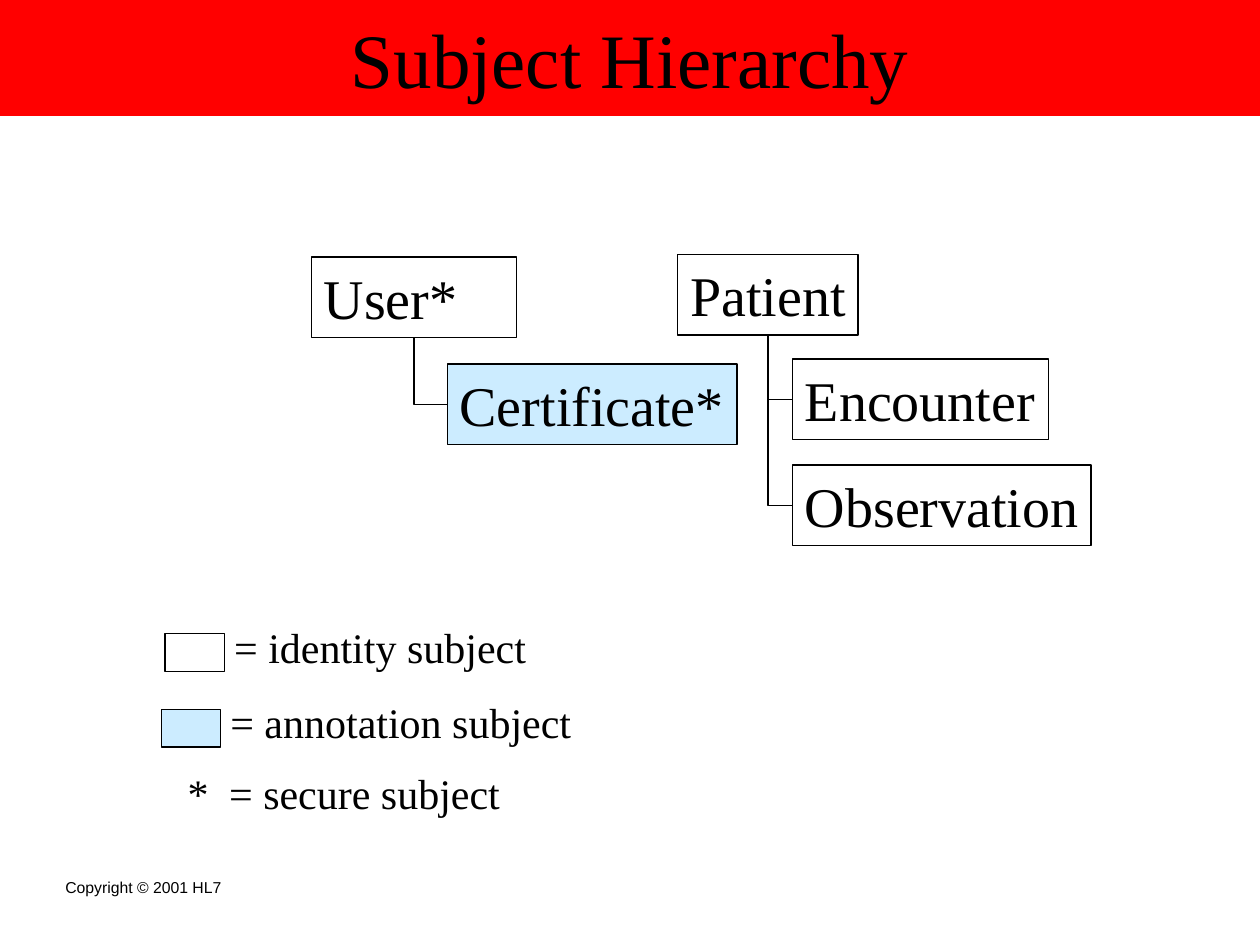
from lxml import etree
from pptx import Presentation
from pptx.dml.color import RGBColor
from pptx.enum.shapes import MSO_CONNECTOR, MSO_SHAPE
from pptx.enum.text import MSO_ANCHOR, MSO_AUTO_SIZE, PP_ALIGN
from pptx.oxml.ns import qn
from pptx.util import Inches, Pt

RECT = MSO_SHAPE.RECTANGLE
ELBOW = MSO_CONNECTOR.ELBOW
TOP, MIDDLE = MSO_ANCHOR.TOP, MSO_ANCHOR.MIDDLE
LEFT, CENTER = PP_ALIGN.LEFT, PP_ALIGN.CENTER
NO_FIT = MSO_AUTO_SIZE.NONE
BOTTOM_SIDE, LEFT_SIDE = 0 + 2, 1

SLIDE_W, SLIDE_H = 10, 7.5
BLACK, WHITE, RED, PALE_BLUE = "000000", "FFFFFF", "FF0000", "CCECFF"
SERIF, SANS = "Times New Roman", "Arial"
BOX_H = 0.64
SWATCH_W, SWATCH_H = 0.47, 0.3
LABEL_H = 0.5

NODES = {
    "User*": (2.47, 2.04, 1.63, WHITE),
    "Patient": (5.38, 2.02, 1.43, WHITE),
    "Encounter": (6.29, 2.85, 2.03, WHITE),
    "Observation": (6.29, 3.69, 2.37, WHITE),
    "Certificate*": (3.55, 2.89, 2.3, PALE_BLUE),
}
BRANCHES = [
    ("User*", "Certificate*"),
    ("Patient", "Encounter"),
    ("Patient", "Observation"),
]
LEGEND = [
    ("= identity subject", 1.31, 5.03, 2.51, WHITE),
    ("= annotation subject", 1.28, 5.63, 2.9, PALE_BLUE),
]


def color(value):
    """Turn a hex string into a colour."""
    return RGBColor.from_string(value)


def inches(*values):
    """Turn numbers into lengths."""
    return [Inches(v) for v in values]


def write(sp, text, size, font=SERIF, align=LEFT, anchor=TOP, wrap=False):
    """Put one formatted paragraph into a shape."""
    tf = sp.text_frame
    frame = {"word_wrap": wrap, "auto_size": NO_FIT, "vertical_anchor": anchor}
    for name, value in frame.items():
        setattr(tf, name, value)
    p = tf.paragraphs[0]
    p.alignment = align
    r = p.add_run()
    r.text = text
    for name, value in {"name": font, "size": Pt(size)}.items():
        setattr(r.font, name, value)
    r.font.color.rgb = color(BLACK)
    return p


def add_text(s, at, text, size, font=SERIF, wrap=False):
    """Add a text box and return its paragraph."""
    sp = s.shapes.add_textbox(*inches(*at))
    return write(sp, text, size, font, wrap=wrap)


def add_rect(s, at, fill):
    """Add a filled rectangle with a thin black outline."""
    sp = s.shapes.add_shape(RECT, *inches(*at))
    sp.shadow.inherit = False
    sp.fill.solid()
    sp.fill.fore_color.rgb = color(fill)
    sp.line.color.rgb = color(BLACK)
    sp.line.width = Pt(0.75)
    return sp


def add_node(s, text, x, y, w, fill):
    """Add one subject of the hierarchy."""
    sp = add_rect(s, (x, y, w, BOX_H), fill)
    write(sp, text, 32)
    return sp


def add_branch(s, parent, child):
    """Run a line down from a parent and right to its child."""
    x1, y1 = parent.left + parent.width // 2, parent.top + parent.height
    x2, y2 = child.left, child.top + child.height // 2
    w, h = x2 - x1, y2 - y1
    line = s.shapes.add_connector(ELBOW, x1, y1, x2, y2)
    line.begin_connect(parent, BOTTOM_SIDE)
    line.end_connect(child, LEFT_SIDE)
    turned = {"left": x1 + (w - h) // 2, "top": y1 + (h - w) // 2,
              "width": h, "height": w}
    for name, value in turned.items():
        setattr(line, name, value)
    line.line.color.rgb = color(BLACK)
    line.line.width = Pt(0.75)
    props = line._element.spPr
    xfrm = props.find(qn("a:xfrm"))
    xfrm.set("rot", "16200000")
    xfrm.set("flipH", "1")
    props.find(qn("a:prstGeom")).set("prst", "bentConnector2")
    etree.SubElement(props, qn("a:effectLst"))


def add_tab(p, position):
    """Set one left tab stop in a paragraph."""
    tabs = etree.SubElement(p._p.get_or_add_pPr(), qn("a:tabLst"))
    etree.SubElement(tabs, qn("a:tab"), pos=str(Inches(position)), algn="l")


def add_title(s, text):
    """Fill the title placeholder as a band across the top."""
    sp = s.shapes.title
    sp.left, sp.top, sp.width, sp.height = inches(0, 0, SLIDE_W, 0.92)
    sp.fill.solid()
    sp.fill.fore_color.rgb = color(RED)
    write(sp, text, 44, align=CENTER, anchor=MIDDLE, wrap=True)


def add_legend(s):
    """Explain the fills and the asterisk."""
    for text, x, y, w, fill in LEGEND:
        add_rect(s, (x, y, SWATCH_W, SWATCH_H), fill)
        add_text(s, (x + 0.45, y - 0.15, w, LABEL_H), text, 24)
    p = add_text(s, (1.39, 6.04, 2.68, LABEL_H), "*\t= secure subject", 24,
                 wrap=True)
    add_tab(p, 0.33)


def main():
    """Build and save the slide."""
    prs = Presentation()
    prs.slide_width, prs.slide_height = inches(SLIDE_W, SLIDE_H)
    s = prs.slides.add_slide(prs.slide_layouts[5])
    add_title(s, "Subject Hierarchy")
    nodes = {text: add_node(s, text, *place) for text, place in NODES.items()}
    for parent, child in BRANCHES:
        add_branch(s, nodes[parent], nodes[child])
    add_legend(s)
    add_text(s, (0.42, 6.92, 1.6, 0.25), "Copyright © 2001 HL7", 9, SANS)
    prs.save("out.pptx")


if __name__ == "__main__":
    main()
